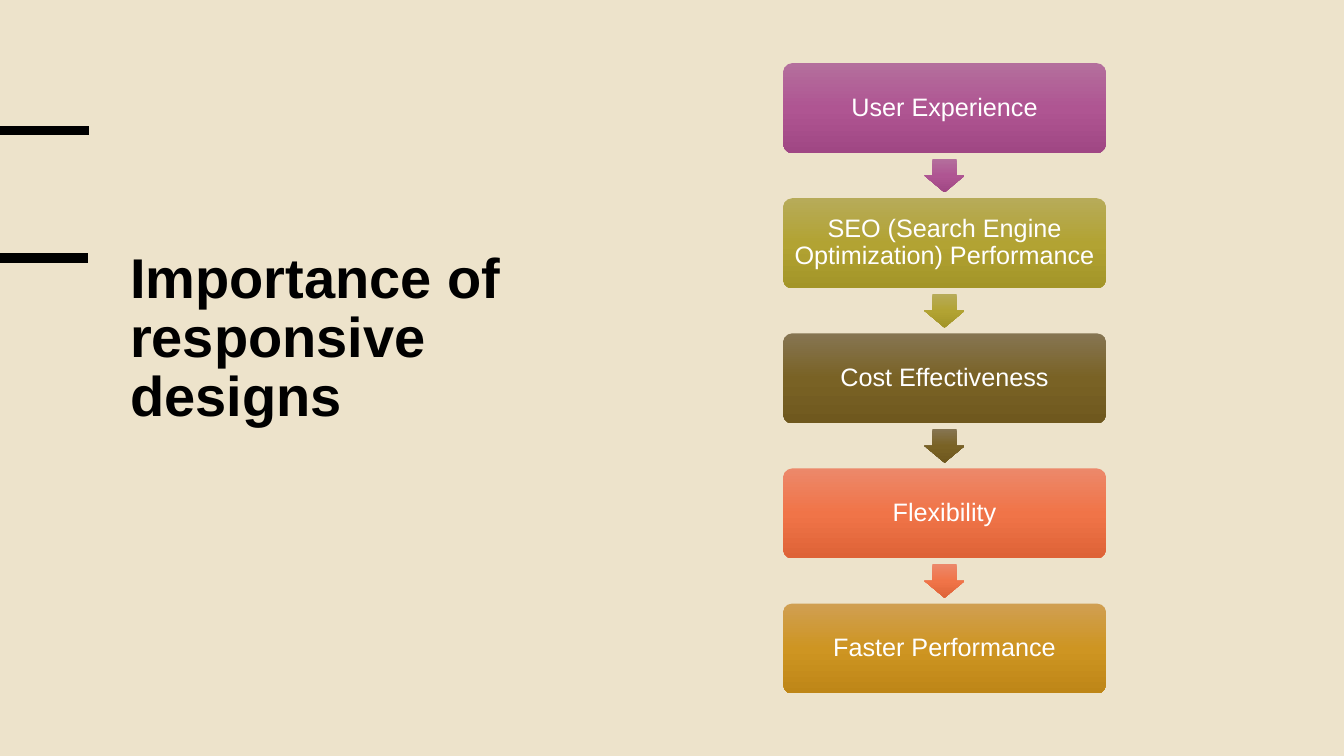
"""Build a slide with a title beside a vertical chain of five benefits."""
import copy
from dataclasses import dataclass

import pptx
import pptx.dml.color
import pptx.enum.shapes
import pptx.enum.text
import pptx.oxml.ns
import pptx.oxml.xmlchemy
import pptx.util

RGB = pptx.dml.color.RGBColor.from_string
Pt = pptx.util.Pt
SHAPE = pptx.enum.shapes.MSO_SHAPE
ANCHOR = pptx.enum.text.MSO_ANCHOR
ALIGN = pptx.enum.text.PP_ALIGN
qn = pptx.oxml.ns.qn

WIDTH, HEIGHT = pptx.util.Inches(13.33), pptx.util.Inches(7.5)


@dataclass(frozen=True)
class Theme:
    font: str = "Arial"
    background: str = "EDE3CB"
    ink: str = "000000"
    label: str = "FFFFFF"
    title_size: float = 40
    label_size: float = 18
    bar_weight: float = 6.75


@dataclass(frozen=True)
class Step:
    text: str
    colors: tuple[str, str, str]


@dataclass(frozen=True)
class Bar:
    row: float
    length: float


@dataclass(frozen=True)
class Chain:
    left: float = 58.28
    top: float = 8.35
    width: float = 24
    height: float = 11.9
    pitch: float = 17.87
    arrow_width: float = 3
    arrow_height: float = 4.45


THEME = Theme()
CHAIN = Chain()
BARS = (Bar(17.3, 6.6), Bar(34.1, 6.53))
STEPS = (
    Step("User Experience", ("B46F9D", "AF5592", "A04784")),
    Step("SEO (Search Engine Optimization) Performance", ("B7AB59", "B2A333", "A39528")),
    Step("Cost Effectiveness", ("867552", "796225", "6F581E")),
    Step("Flexibility", ("EC886A", "F07448", "DE6337")),
    Step("Faster Performance", ("D09F52", "CE9522", "BE8617")),
)


def col(n: float) -> int:
    """Convert hundredths of the slide width to a length."""
    return round(WIDTH * n / 100)


def row(n: float) -> int:
    """Convert hundredths of the slide height to a length."""
    return round(HEIGHT * n / 100)


def style_text(p, size: float, color: str, spacing: float, bold: bool = False) -> None:
    """Set the font and line spacing of a paragraph."""
    p.font.name, p.font.size, p.font.bold = THEME.font, Pt(size), bold
    p.font.color.rgb = RGB(color)
    p.line_spacing = spacing


def add_title(slide, text: str) -> None:
    """Fill and place the title placeholder."""
    sp = slide.shapes.title
    sp.left, sp.top, sp.width, sp.height = col(8.93), row(32.53), col(31.2), row(48.93)
    tf = sp.text_frame
    tf.text = text
    tf.word_wrap = True
    tf.auto_size = pptx.enum.text.MSO_AUTO_SIZE.NONE
    tf.vertical_anchor = ANCHOR.TOP
    p = tf.paragraphs[0]
    p.alignment = ALIGN.LEFT
    style_text(p, THEME.title_size, THEME.ink, 0.88, bold=True)


def add_bar(slide, bar: Bar) -> None:
    """Draw a thick line in from the left edge."""
    y = row(bar.row)
    line = slide.shapes.add_connector(
        pptx.enum.shapes.MSO_CONNECTOR.STRAIGHT, 0, y, col(bar.length), y)
    line.line.color.rgb = RGB(THEME.ink)
    line.line.width = Pt(THEME.bar_weight)
    line._element.spPr.append(pptx.oxml.xmlchemy.OxmlElement("a:effectLst"))


def add_gradient_shape(slide, kind, box: tuple[float, float, float, float],
                       colors: tuple[str, str, str], adjustments: tuple[float, ...]):
    """Add a borderless shape shaded from top to bottom."""
    left, top, width, height = box
    sp = slide.shapes.add_shape(kind, col(left), row(top), col(width), row(height))
    sp.shadow.inherit = False
    sp.line.fill.background()
    for i, value in enumerate(adjustments):
        sp.adjustments[i] = value
    sp.fill.gradient()
    sp.fill.gradient_angle = 270
    stops = sp._element.spPr.find(f".//{qn('a:gsLst')}")
    stops.append(copy.deepcopy(stops[-1]))
    for i, (stop, color) in enumerate(zip(sp.fill.gradient_stops, colors)):
        stop.position = i / 2
        stop.color.rgb = RGB(color)
    return sp


def add_step(slide, step: Step, top: float) -> None:
    """Add a labelled box of the chain."""
    sp = add_gradient_shape(slide, SHAPE.ROUNDED_RECTANGLE,
                            (CHAIN.left, top, CHAIN.width, CHAIN.height), step.colors, (0.1,))
    tf = sp.text_frame
    tf.word_wrap = True
    tf.vertical_anchor = ANCHOR.MIDDLE
    tf.margin_left = tf.margin_right = tf.margin_top = tf.margin_bottom = pptx.util.Inches(0.07)
    tf.text = step.text
    p = tf.paragraphs[0]
    p.alignment = ALIGN.CENTER
    style_text(p, THEME.label_size, THEME.label, 0.9)


def add_arrow(slide, step: Step, top: float) -> None:
    """Add a block arrow centred in the gap below a box."""
    left = CHAIN.left + (CHAIN.width - CHAIN.arrow_width) / 2
    gap_top = top + (CHAIN.height + CHAIN.pitch - CHAIN.arrow_height) / 2
    add_gradient_shape(slide, SHAPE.DOWN_ARROW,
                       (left, gap_top, CHAIN.arrow_width, CHAIN.arrow_height),
                       step.colors, (0.6, 0.5))


def main() -> None:
    """Build and save the slide."""
    prs = pptx.Presentation()
    prs.slide_width, prs.slide_height = WIDTH, HEIGHT
    slide = prs.slides.add_slide(prs.slide_layouts[5])
    slide.background.fill.solid()
    slide.background.fill.fore_color.rgb = RGB(THEME.background)
    add_title(slide, "Importance of responsive designs")
    for bar in BARS:
        add_bar(slide, bar)
    for i, step in enumerate(STEPS):
        top = CHAIN.top + i * CHAIN.pitch
        add_step(slide, step, top)
        if i < len(STEPS) - 1:
            add_arrow(slide, step, top)
    prs.save("out.pptx")


if __name__ == "__main__":
    main()
